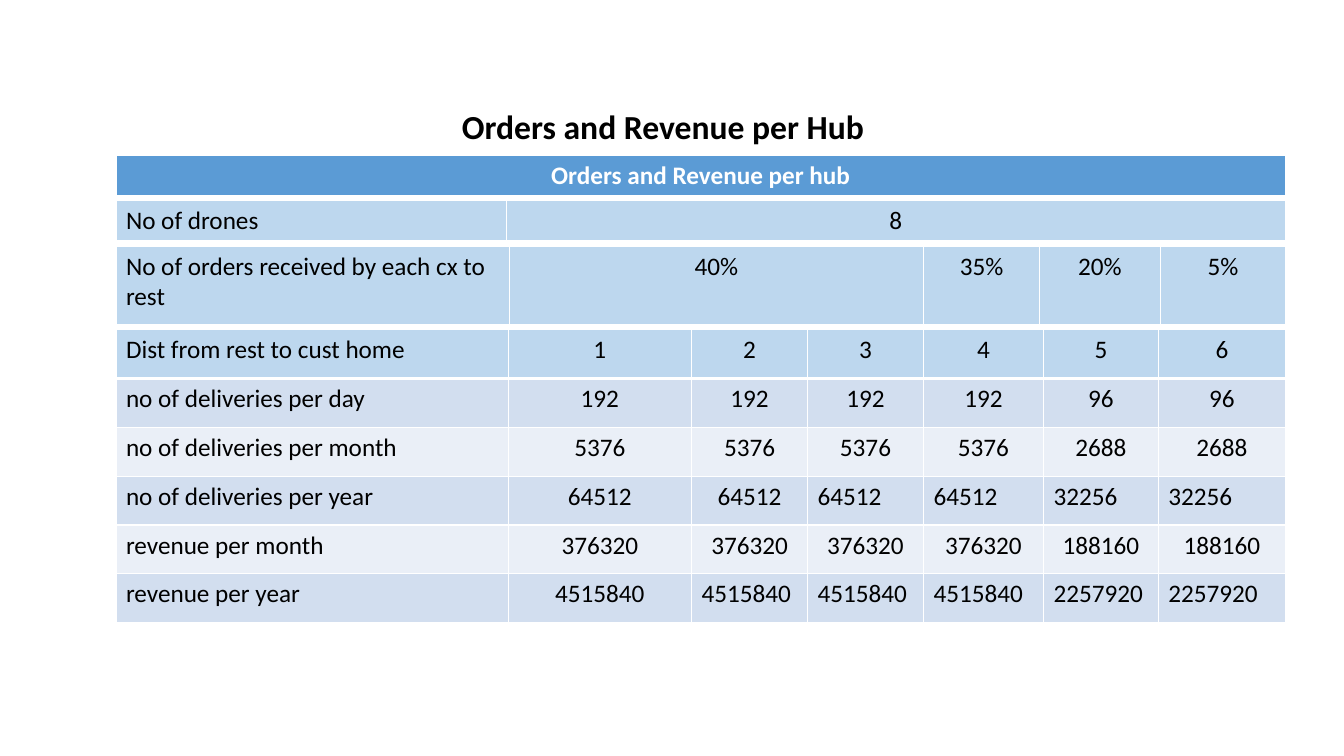
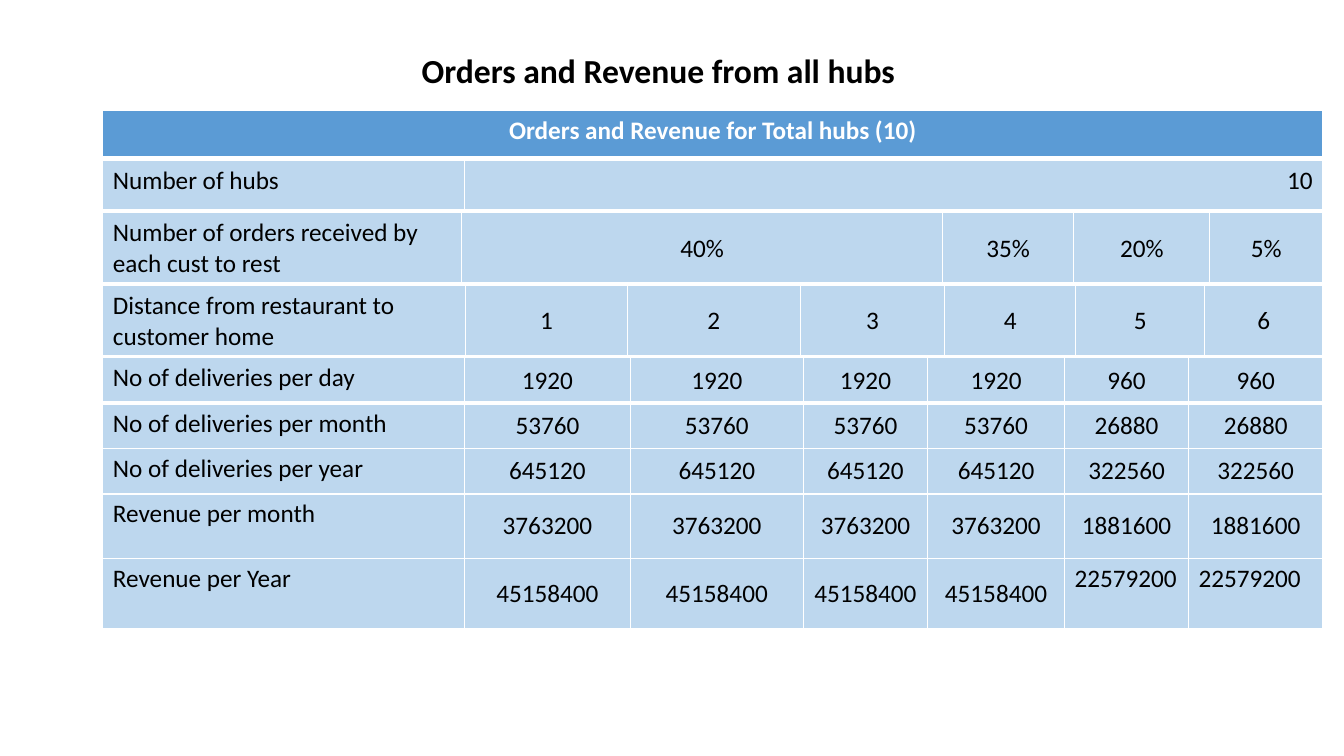
import lxml.etree
import pptx
import pptx.dml.color
import pptx.enum.text
import pptx.oxml.ns
import pptx.util

Inches = pptx.util.Inches
Pt = pptx.util.Pt
Align = pptx.enum.text.PP_ALIGN
Anchor = pptx.enum.text.MSO_ANCHOR

FONT = "Calibri"
COLORS = {
    "text": "000000",
    "white": "FFFFFF",
    "header": "5B9BD5",
    "label": "BDD7EE",
    "band_dark": "D2DEEF",
    "band_light": "EAEFF7",
}
THIN, THICK = 1, 3
DAYS_PER_MONTH, MONTHS_PER_YEAR, REVENUE_PER_ORDER = 28, 12, 70
SHARES = ["40%", "35%", "20%", "5%"]
DISTANCES = [1, 2, 3, 4, 5, 6]


def rgb(name):
    return pptx.dml.color.RGBColor.from_string(COLORS[name])


def metric_rows(labels, daily):
    """Return deliveries per day, month and year, then revenue per month and year."""
    month = DAYS_PER_MONTH
    year = month * MONTHS_PER_YEAR
    factors = [1, month, year, month * REVENUE_PER_ORDER, year * REVENUE_PER_ORDER]
    return [[label] + [count * factor for count in daily]
            for label, factor in zip(labels, factors)]


class Deck:
    def __init__(self):
        self.presentation = pptx.Presentation()
        self.presentation.slide_width = Inches(13.33)
        self.presentation.slide_height = Inches(7.5)

    def start_slide(self, title, title_box, left, top, gap):
        """Add a titled slide whose tables stack down from left, top."""
        layout = self.presentation.slide_layouts.get_by_name("Title Only")
        self.slide = self.presentation.slides.add_slide(layout)
        self.left, self.top, self.gap = left, top, gap
        shape = self.slide.shapes.title
        shape.left, shape.top, shape.width, shape.height = map(Inches, title_box)
        frame = shape.text_frame
        frame.word_wrap = True
        frame.auto_size = pptx.enum.text.MSO_AUTO_SIZE.NONE
        frame.vertical_anchor = Anchor.TOP
        self.set_text(frame, title, 24, "text", True, Align.CENTER)

    def set_text(self, frame, text, size, color, bold, alignment):
        frame.text = str(text)
        paragraph = frame.paragraphs[0]
        paragraph.alignment = alignment
        font = paragraph.runs[0].font
        font.name, font.size, font.bold = FONT, Pt(size), bold
        font.color.rgb = rgb(color)

    def border(self, cell, top, bottom):
        properties = cell._tc.get_or_add_tcPr()
        qn = pptx.oxml.ns.qn
        for side, width in (("L", THIN), ("R", THIN), ("T", top), ("B", bottom)):
            line = lxml.etree.SubElement(properties, qn(f"a:ln{side}"), w=str(Pt(width)))
            fill = lxml.etree.SubElement(line, qn("a:solidFill"))
            lxml.etree.SubElement(fill, qn("a:srgbClr"), val=COLORS["white"])

    def table(self, widths, heights, rows, fills=("label",), anchor=Anchor.TOP,
              alignment=Align.CENTER):
        """Stack a table; fills repeat the last colour, first column is left-aligned."""
        frame = self.slide.shapes.add_table(
            len(rows), len(widths), Inches(self.left), Inches(self.top),
            Inches(sum(widths)), Inches(sum(heights)))
        table = frame.table
        table.first_row = table.horz_banding = False
        for column, width in zip(table.columns, widths):
            column.width = Inches(width)
        for row, height in zip(table.rows, heights):
            row.height = Inches(height)
        for row_index, values in enumerate(rows):
            fill = fills[min(row_index, len(fills) - 1)]
            for column_index, value in enumerate(values):
                cell = table.cell(row_index, column_index)
                self.border(cell, THICK if row_index == 1 else THIN,
                            THICK if row_index == 0 else THIN)
                cell.fill.solid()
                cell.fill.fore_color.rgb = rgb(fill)
                is_header = fill == "header"
                is_label = column_index == 0 and not is_header
                cell.vertical_anchor = Anchor.TOP if is_label else anchor
                self.set_text(cell.text_frame, value, 18,
                              "white" if is_header else "text", is_header,
                              Align.LEFT if is_label else alignment)
        self.top += sum(heights) + self.gap
        return table

    def header(self, text, width, height):
        self.table([width], [height], [[text]], fills=["header"])

    def align_left(self, table, row, columns):
        """Move the cells' text to the top left corner."""
        for column in columns:
            cell = table.cell(row, column)
            cell.vertical_anchor = Anchor.TOP
            cell.text_frame.paragraphs[0].alignment = Align.LEFT


def add_single_hub(deck):
    deck.start_slide("Orders and Revenue per Hub", (2.49, 1, 8.17, 0.54),
                     left=1.15, top=1.54, gap=0.04)
    deck.header("Orders and Revenue per hub", 11.6, 0.41)
    deck.table([3.87, 7.73], [0.41], [["No of drones", 8]])
    deck.table([3.9, 4.11, 1.15, 1.2, 1.24], [0.79],
               [["No of orders received by each cx to rest"] + SHARES])
    labels = ["no of deliveries per day", "no of deliveries per month",
              "no of deliveries per year", "revenue per month", "revenue per year"]
    rows = [["Dist from rest to cust home"] + DISTANCES]
    rows += metric_rows(labels, [192] * 4 + [96] * 2)
    metrics = deck.table([3.89, 1.82, 1.15, 1.15, 1.19, 1.14, 1.26],
                         [2.91 / len(rows)] * len(rows), rows,
                         fills=["label"] + ["band_dark", "band_light"] * 2 + ["band_dark"])
    deck.align_left(metrics, 3, range(3, 7))
    deck.align_left(metrics, 5, range(2, 7))


def add_all_hubs(deck):
    deck.start_slide("Orders and Revenue from all hubs", (1.86, 0.44, 9.34, 0.58),
                     left=1.02, top=1.1, gap=0.02)
    deck.header("Orders and Revenue for Total hubs (10)", 12.1, 0.47)
    deck.table([3.59, 8.51], [0.5], [["Number of hubs", 10]], alignment=Align.RIGHT)
    deck.table([3.56, 4.77, 1.3, 1.35, 1.12], [0.7],
               [["Number of orders received by each cust to rest"] + SHARES],
               anchor=Anchor.MIDDLE)
    deck.table([3.6, 1.6, 1.72, 1.43, 1.3, 1.28, 1.17], [0.7],
               [["Distance from restaurant to customer home"] + DISTANCES],
               anchor=Anchor.MIDDLE)
    labels = ["No of deliveries per day", "No of deliveries per month",
              "No of deliveries per year", "Revenue per month", "Revenue per Year"]
    metrics = deck.table([3.59, 1.64, 1.72, 1.23, 1.36, 1.23, 1.33],
                         [0.45, 0.45, 0.45, 0.64, 0.7],
                         metric_rows(labels, [1920] * 4 + [960] * 2),
                         anchor=Anchor.MIDDLE)
    deck.align_left(metrics, 4, [5, 6])


def main():
    deck = Deck()
    add_single_hub(deck)
    add_all_hubs(deck)
    deck.presentation.save("out.pptx")


if __name__ == "__main__":
    main()
